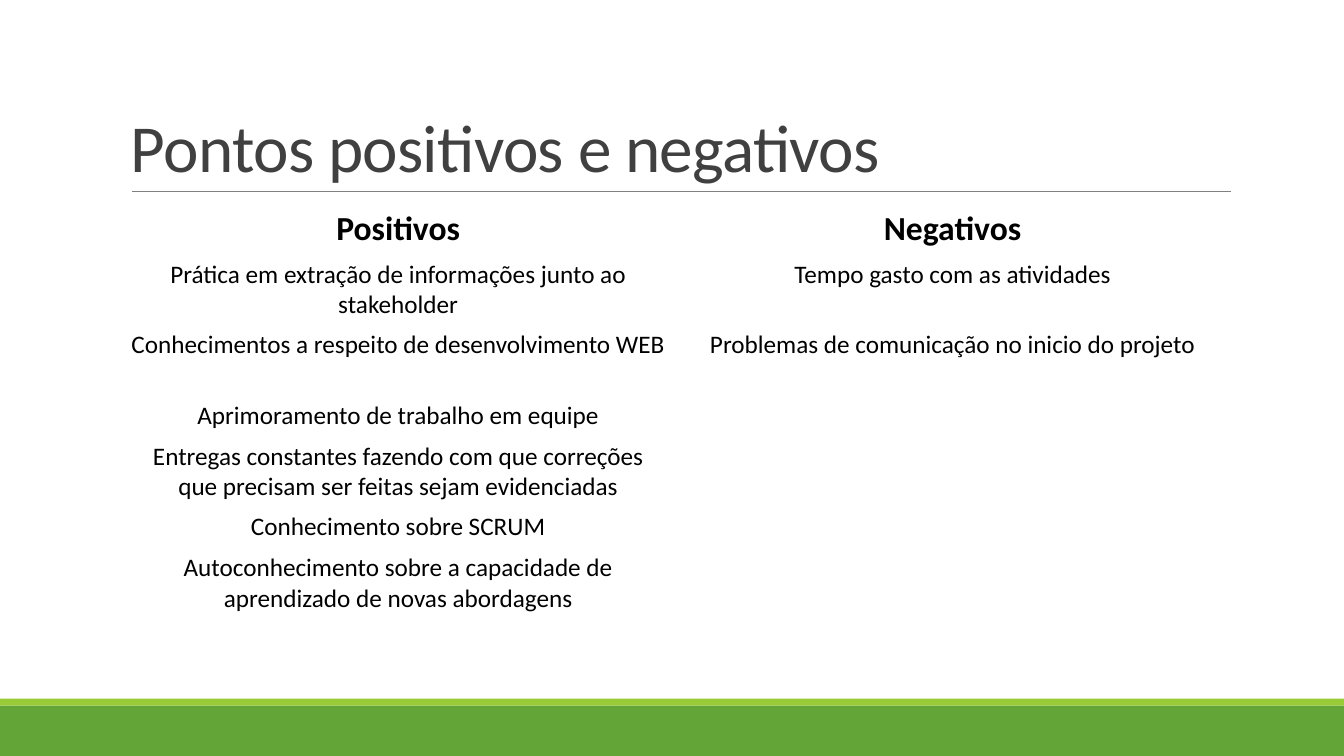
import pptx
import pptx.util
import pptx.dml.color
import pptx.enum.shapes
import pptx.enum.text
import pptx.oxml

Pt = pptx.util.Pt
RGB = pptx.dml.color.RGBColor.from_string
ALIGN = pptx.enum.text.PP_ALIGN
ANCHOR = pptx.enum.text.MSO_ANCHOR

# Content
TITLE = "Pontos positivos e negativos"
HEADERS = ("Positivos", "Negativos")
POSITIVES = [
    "Prática em extração de informações junto ao stakeholder",
    "Conhecimentos a respeito de desenvolvimento WEB",
    "Aprimoramento de trabalho em equipe",
    "Entregas constantes fazendo com que correções que precisam ser feitas sejam evidenciadas",
    "Conhecimento sobre SCRUM",
    "Autoconhecimento sobre a capacidade de aprendizado de novas abordagens",
]
NEGATIVES = [
    "Tempo gasto com as atividades",
    "Problemas de comunicação no inicio do projeto",
]

# Format
COLORS = {"green": "63A537", "lime": "99CB38", "rule": "808080",
          "title": "404040", "text": "000000"}
FONT = "Calibri"
TITLE_FONT = {"name": FONT, "size": Pt(48)}
HEADER_FONT = {"name": FONT, "size": Pt(24), "bold": True}
BODY_FONT = {"name": FONT, "size": Pt(18), "bold": False}

# Layout in points
SLIDE_W, SLIDE_H = 960, 540
LEFT, WIDTH = 86.4, 792
RULE_Y, RULE_X1, RULE_X2 = 136.8, 94.3, 879
TITLE_TOP, TITLE_H = 22.3, 114.5
TABLE_TOP = 145.4
HEADER_ROW, ONE_LINE, TWO_LINES = 36, 29.2, 50.4
ROW_HEIGHTS = [HEADER_ROW, TWO_LINES, TWO_LINES, ONE_LINE, TWO_LINES, ONE_LINE, TWO_LINES]
BANDS = [(504, 36, "green"), (499, 5, "lime")]  # top, height, colour


def set_text(p, text, font, color):
    r = p.add_run()
    r.text = text
    for key, value in font.items():
        setattr(r.font, key, value)
    r.font.color.rgb = RGB(COLORS[color])
    return r


prs = pptx.Presentation()
prs.slide_width, prs.slide_height = Pt(SLIDE_W), Pt(SLIDE_H)
s = prs.slides.add_slide(prs.slide_layouts[6])

# Footer bands
for top, height, color in BANDS:
    sp = s.shapes.add_shape(pptx.enum.shapes.MSO_SHAPE.RECTANGLE,
                            0, Pt(top), Pt(SLIDE_W), Pt(height))
    sp.shadow.inherit = False
    sp.fill.solid()
    sp.fill.fore_color.rgb = RGB(COLORS[color])
    sp.line.fill.background()

# Rule under the title
rule = s.shapes.add_connector(pptx.enum.shapes.MSO_CONNECTOR.STRAIGHT,
                              Pt(RULE_X1), Pt(RULE_Y), Pt(RULE_X2), Pt(RULE_Y))
rule.line.color.rgb = RGB(COLORS["rule"])
rule.line.width = Pt(0.5)
rule._element.spPr.append(pptx.oxml.parse_xml(
    '<a:effectLst xmlns:a="http://schemas.openxmlformats.org/drawingml/2006/main"/>'))

# Title
tf = s.shapes.add_textbox(Pt(LEFT), Pt(TITLE_TOP), Pt(WIDTH), Pt(TITLE_H)).text_frame
tf.word_wrap = True
tf.vertical_anchor = ANCHOR.BOTTOM
p = tf.paragraphs[0]
p.line_spacing = 0.85
r = set_text(p, TITLE, TITLE_FONT, "title")
r.font._element.set("spc", "-50")

# Table of positives and negatives
table = s.shapes.add_table(len(ROW_HEIGHTS), len(HEADERS), Pt(LEFT), Pt(TABLE_TOP),
                           Pt(WIDTH), Pt(sum(ROW_HEIGHTS))).table
table.first_row = table.horz_banding = False
for row, height in zip(table.rows, ROW_HEIGHTS):
    row.height = Pt(height)
    for cell in row.cells:
        cell.fill.background()
for col, (header, items) in enumerate(zip(HEADERS, (POSITIVES, NEGATIVES))):
    table.columns[col].width = Pt(WIDTH / len(HEADERS))
    for row, text in enumerate([header] + items):
        p = table.cell(row, col).text_frame.paragraphs[0]
        p.alignment = ALIGN.CENTER
        set_text(p, text, BODY_FONT if row else HEADER_FONT, "text")

prs.save("out.pptx")
